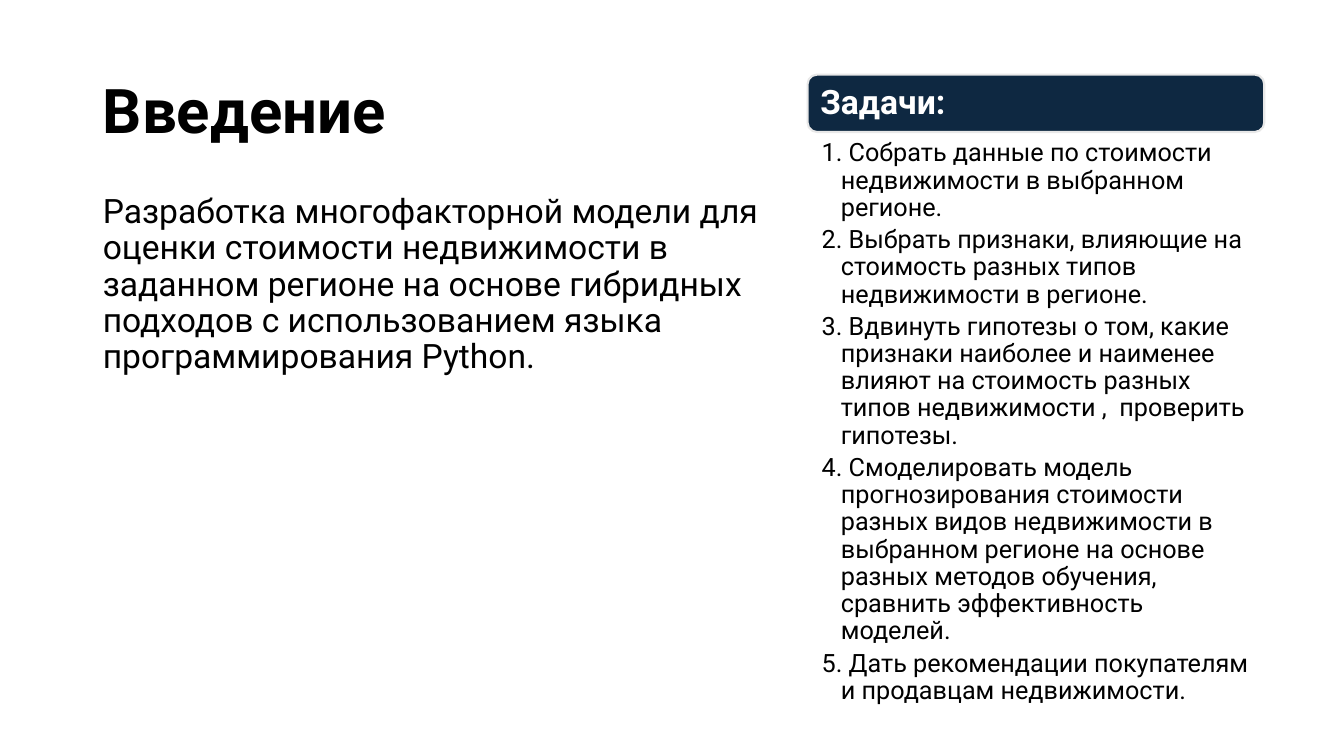
from pptx import Presentation
from pptx.dml.color import RGBColor
from pptx.enum.shapes import MSO_SHAPE
from pptx.enum.text import MSO_ANCHOR as Anchor, MSO_AUTO_SIZE as AutoSize, PP_ALIGN as Align
from pptx.oxml.ns import qn
from pptx.util import Inches, Pt

WIDTH, HEIGHT = 13.33, 7.5
LEFT_COLUMN, RIGHT_COLUMN, RIGHT_WIDTH = 0.92, 8.01, 4.53


def color(hex_string):
    return RGBColor.from_string(hex_string)


def write(shape, *texts, size, ink="000000", bold=False, anchor=Anchor.TOP,
          insets=(0.1, 0.05), before=0, after=0, hanging=0):
    """Fill a shape with left-aligned paragraphs, one for each text."""
    frame = shape.text_frame
    frame.word_wrap, frame.auto_size = True, AutoSize.NONE
    frame.vertical_anchor = anchor
    frame.margin_left = frame.margin_right = Inches(insets[0])
    frame.margin_top = frame.margin_bottom = Inches(insets[1])
    for index, text in enumerate(texts):
        paragraph = frame.add_paragraph() if index else frame.paragraphs[0]
        paragraph.alignment = Align.LEFT
        paragraph.line_spacing = 0.9
        paragraph.space_before, paragraph.space_after = Pt(before), Pt(after)
        properties = paragraph._p.get_or_add_pPr()
        properties.set("marL", str(Inches(hanging)))
        properties.set("indent", str(-Inches(hanging)))
        properties.append(properties.makeelement(qn("a:buNone"), {}))
        run = paragraph.add_run()
        run.text = text
        run.font.name, run.font.size, run.font.bold = "Roboto", Pt(size), bold
        run.font.color.rgb = color(ink)


presentation = Presentation()
presentation.slide_width, presentation.slide_height = Inches(WIDTH), Inches(HEIGHT)
slide = presentation.slides.add_slide(presentation.slide_layouts[1])

# Title and aim of the work
title, aim = slide.placeholders
for placeholder, top, width, height in ((title, 0.4, 11.5, 1.45), (aim, 1.88, 6.9, 2.17)):
    placeholder.left, placeholder.top = Inches(LEFT_COLUMN), Inches(top)
    placeholder.width, placeholder.height = Inches(width), Inches(height)
write(title, "Введение", size=44, bold=True, anchor=Anchor.MIDDLE)
write(aim, "Разработка многофакторной модели для оценки стоимости недвижимости в заданном "
      "регионе на основе гибридных подходов с использованием языка программирования Python.",
      size=24, before=10)

# Heading of the task column
heading = slide.shapes.add_shape(
    MSO_SHAPE.ROUNDED_RECTANGLE,
    Inches(RIGHT_COLUMN), Inches(0.74), Inches(RIGHT_WIDTH), Inches(0.57))
heading.shadow.inherit = False
heading.fill.solid()
heading.fill.fore_color.rgb = color("0E2841")
heading.line.color.rgb = color("E8E8E8")
heading.line.width = Pt(1.5)
write(heading, "Задачи:", size=24, ink="FFFFFF", bold=True, anchor=Anchor.MIDDLE)

# Tasks
tasks = slide.shapes.add_textbox(
    Inches(RIGHT_COLUMN), Inches(1.36), Inches(RIGHT_WIDTH), Inches(5.65))
write(tasks,
      "1. Собрать данные по стоимости недвижимости в выбранном регионе.",
      "2. Выбрать признаки, влияющие на стоимость разных типов недвижимости в регионе.",
      "3. Вдвинуть гипотезы о том, какие признаки наиболее и наименее влияют на стоимость "
      "разных типов недвижимости ,  проверить гипотезы.",
      "4. Смоделировать модель прогнозирования стоимости разных видов недвижимости в "
      "выбранном регионе на основе разных методов обучения, сравнить эффективность моделей.",
      "5. Дать рекомендации покупателям и продавцам недвижимости.",
      size=18, insets=(0.14, 0.03), after=3.6, hanging=0.19)

presentation.save("out.pptx")
